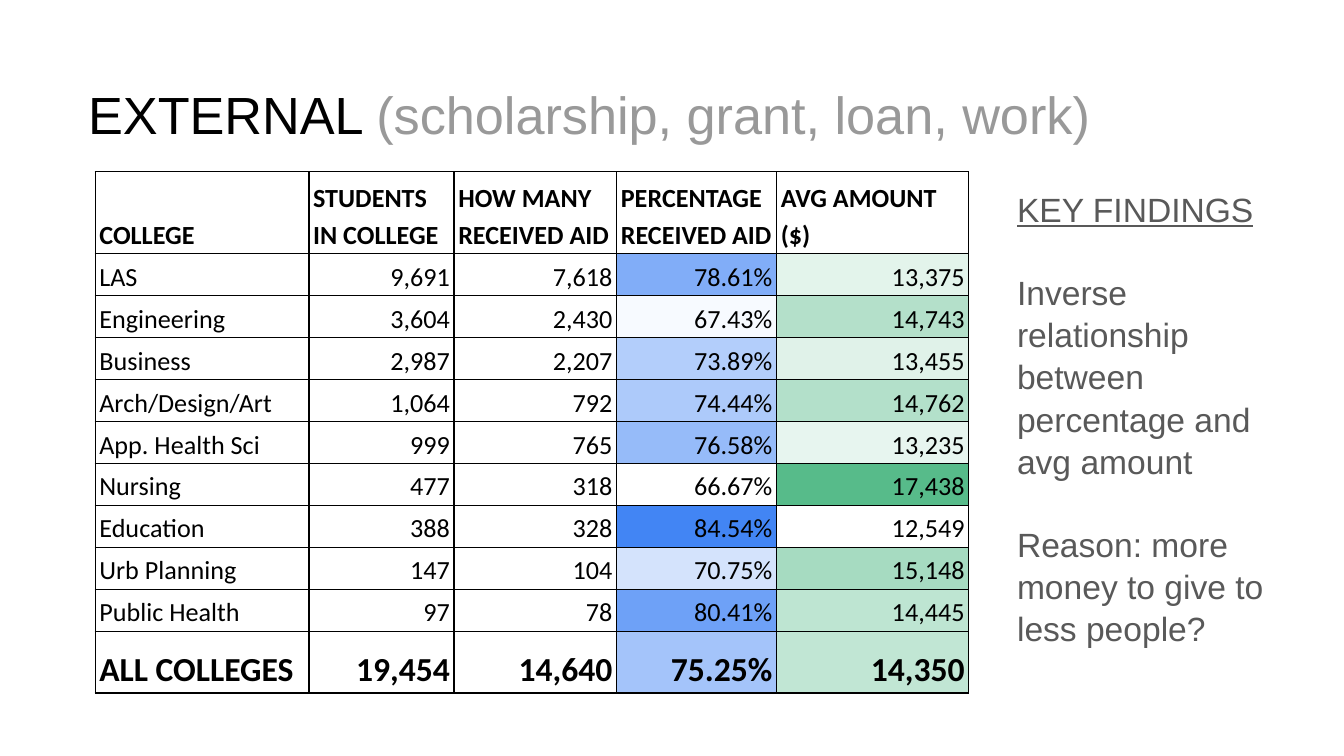
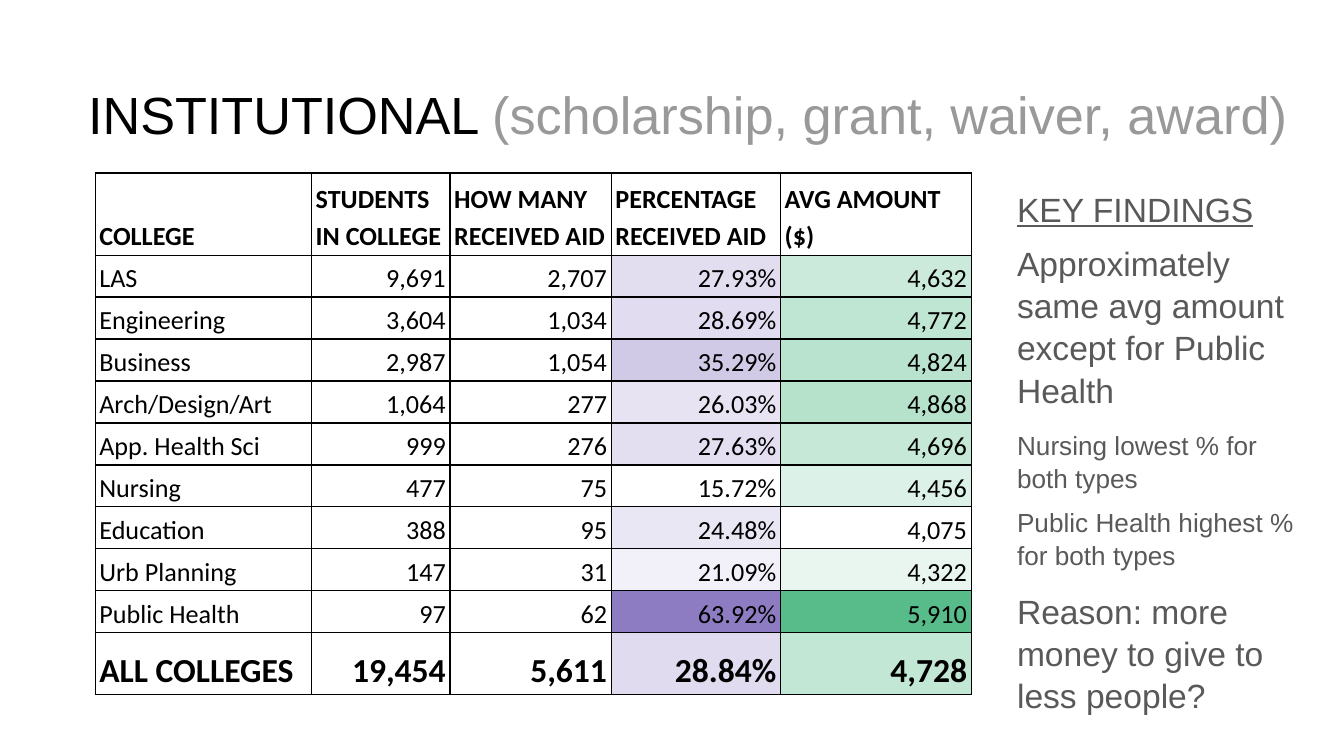
import pptx
import pptx.util
import pptx.dml.color
import pptx.enum.text
from lxml import etree

Pt = pptx.util.Pt
RGB = pptx.dml.color.RGBColor
ALIGN = pptx.enum.text.PP_ALIGN
ANCHOR = pptx.enum.text.MSO_ANCHOR

# Shared style
BLACK = RGB(0x00, 0x00, 0x00)
WHITE = RGB(0xFF, 0xFF, 0xFF)
GRAY = RGB(0x99, 0x99, 0x99)
BODY = RGB(0x59, 0x59, 0x59)
BLUE = RGB(0x42, 0x85, 0xF4)
PURPLE = RGB(0x8E, 0x7C, 0xC3)
GREEN = RGB(0x57, 0xBB, 0x8A)
HEAD_FONT, TABLE_FONT = "Arial", "Calibri"
ROW_HEIGHTS = [44] + [22.5] * 9 + [33]

COLLEGES = [
    ("LAS", 9691), ("Engineering", 3604), ("Business", 2987),
    ("Arch/Design/Art", 1064), ("App. Health Sci", 999), ("Nursing", 477),
    ("Education", 388), ("Urb Planning", 147), ("Public Health", 97),
    ("ALL COLLEGES", 19454),
]

# Findings are (text, size, space before)
SLIDES = [
    dict(
        title="EXTERNAL ", kinds="(scholarship, grant, loan, work)",
        title_width=671, table_top=92, percent_head="PERCENTAGE\nRECEIVED AID",
        widths=[114.5, 77.8, 87.1, 85.7, 103], percent_color=BLUE,
        aided=[7618, 2430, 2207, 792, 765, 318, 328, 104, 78, 14640],
        percents=[78.61, 67.43, 73.89, 74.44, 76.58, 66.67, 84.54, 70.75, 80.41, 75.25],
        amounts=[13375, 14743, 13455, 14762, 13235, 17438, 12549, 15148, 14445, 14350],
        findings=[
            ("Inverse relationship between percentage and avg amount", 18, 21.6),
            ("Reason: more money to give to less people?", 18, 21.6),
        ],
    ),
    dict(
        title="INSTITUTIONAL ", kinds="(scholarship, grant, waiver, award)",
        title_width=687, table_top=92.7, percent_head="PERCENTAGE RECEIVED AID",
        widths=[115.9, 74.2, 86.4, 90.7, 102.2], percent_color=PURPLE,
        aided=[2707, 1034, 1054, 277, 276, 75, 95, 31, 62, 5611],
        percents=[27.93, 28.69, 35.29, 26.03, 27.63, 15.72, 24.48, 21.09, 63.92, 28.84],
        amounts=[4632, 4772, 4824, 4868, 4696, 4456, 4075, 4322, 5910, 4728],
        findings=[
            ("Approximately same avg amount except for Public Health", 18, 6),
            ("Nursing lowest % for both types", 14, 9.6),
            ("Public Health highest % for both types", 14, 6),
            ("Reason: more money to give to less people?", 18, 9.6),
        ],
    ),
]


def add_text(s, left, top, width, height, margin_left, margin_top):
    tf = s.shapes.add_textbox(Pt(left), Pt(top), Pt(width), Pt(height)).text_frame
    tf.word_wrap = True
    tf.margin_left, tf.margin_top = Pt(margin_left), Pt(margin_top)
    tf.margin_right = tf.margin_bottom = Pt(7.2)
    return tf


def fill_cell(cell, text, size, bold, align, color):
    cell.margin_left = cell.margin_right = Pt(2.25)
    cell.margin_top = cell.margin_bottom = Pt(1.5)
    cell.vertical_anchor = ANCHOR.BOTTOM
    cell.text = text
    for p in cell.text_frame.paragraphs:
        p.alignment = align
        p.line_spacing = 1.15
        p.font.name, p.font.size, p.font.bold = TABLE_FONT, Pt(size), bold
        p.font.color.rgb = BLACK
    # Borders come before the fill in the cell properties
    tcPr = cell._tc.get_or_add_tcPr()
    for side in ("lnL", "lnR", "lnT", "lnB"):
        ln = etree.SubElement(tcPr, pptx.oxml.ns.qn("a:" + side), w=str(Pt(0.75)))
        fill = etree.SubElement(ln, pptx.oxml.ns.qn("a:solidFill"))
        etree.SubElement(fill, pptx.oxml.ns.qn("a:srgbClr"), val=str(BLACK))
    if color is None:
        cell.fill.background()
    else:
        cell.fill.solid()
        cell.fill.fore_color.rgb = color


prs = pptx.Presentation()
prs.slide_width, prs.slide_height = Pt(720), Pt(405)

for data in SLIDES:
    s = prs.slides.add_slide(prs.slide_layouts[6])
    s.background.fill.solid()
    s.background.fill.fore_color.rgb = WHITE

    # Title
    tf = add_text(s, 24.5, 35.3, data["title_width"], 45.4, 22.75, 9)
    p = tf.paragraphs[0]
    p.font.name, p.font.size = HEAD_FONT, Pt(28)
    for text, color in ((data["title"], BLACK), (data["kinds"], GRAY)):
        r = p.add_run()
        r.text = text
        r.font.color.rgb = color

    # Table grid
    widths = data["widths"]
    gf = s.shapes.add_table(len(ROW_HEIGHTS), len(widths), Pt(51), Pt(data["table_top"]),
                            Pt(sum(widths)), Pt(sum(ROW_HEIGHTS)))
    table = gf.table
    table.first_row = table.horz_banding = False
    for column, width in zip(table.columns, widths):
        column.width = Pt(width)
    for row, height in zip(table.rows, ROW_HEIGHTS):
        row.height = Pt(height)

    # Header row
    heads = ["COLLEGE", "STUDENTS\nIN COLLEGE", "HOW MANY\nRECEIVED AID",
             data["percent_head"], "AVG AMOUNT ($)"]
    for j, head in enumerate(heads):
        fill_cell(table.cell(0, j), head, 14, True, ALIGN.LEFT, None)

    # Columns: values, number format, colour at the maximum of the scale
    names, students = zip(*COLLEGES)
    columns = [
        (names, "{}", None),
        (students, "{:,}", None),
        (data["aided"], "{:,}", None),
        (data["percents"], "{:.2f}%", data["percent_color"]),
        (data["amounts"], "{:,}", GREEN),
    ]
    for j, (values, form, peak) in enumerate(columns):
        for i, value in enumerate(values, 1):
            total = i == len(values)
            color = None
            if peak is not None:
                t = (value - min(values)) / (max(values) - min(values))
                color = RGB(*(round(255 - t * (255 - c)) for c in peak))
            fill_cell(table.cell(i, j), form.format(value), 18 if total else 14, total,
                      ALIGN.RIGHT if j else ALIGN.LEFT, color)

    # Key findings
    tf = add_text(s, 537.8, 92.2, 165.6, 229.7, 7.2, 8)
    for i, (text, size, gap) in enumerate([("KEY FINDINGS", 18, 0)] + data["findings"]):
        p = tf.add_paragraph() if i else tf.paragraphs[0]
        p.text = text
        p.line_spacing = 1.05
        p.space_before = Pt(gap)
        p.font.name, p.font.size = HEAD_FONT, Pt(size)
        p.font.color.rgb = BODY
        p.font.underline = i == 0

prs.save("out.pptx")
